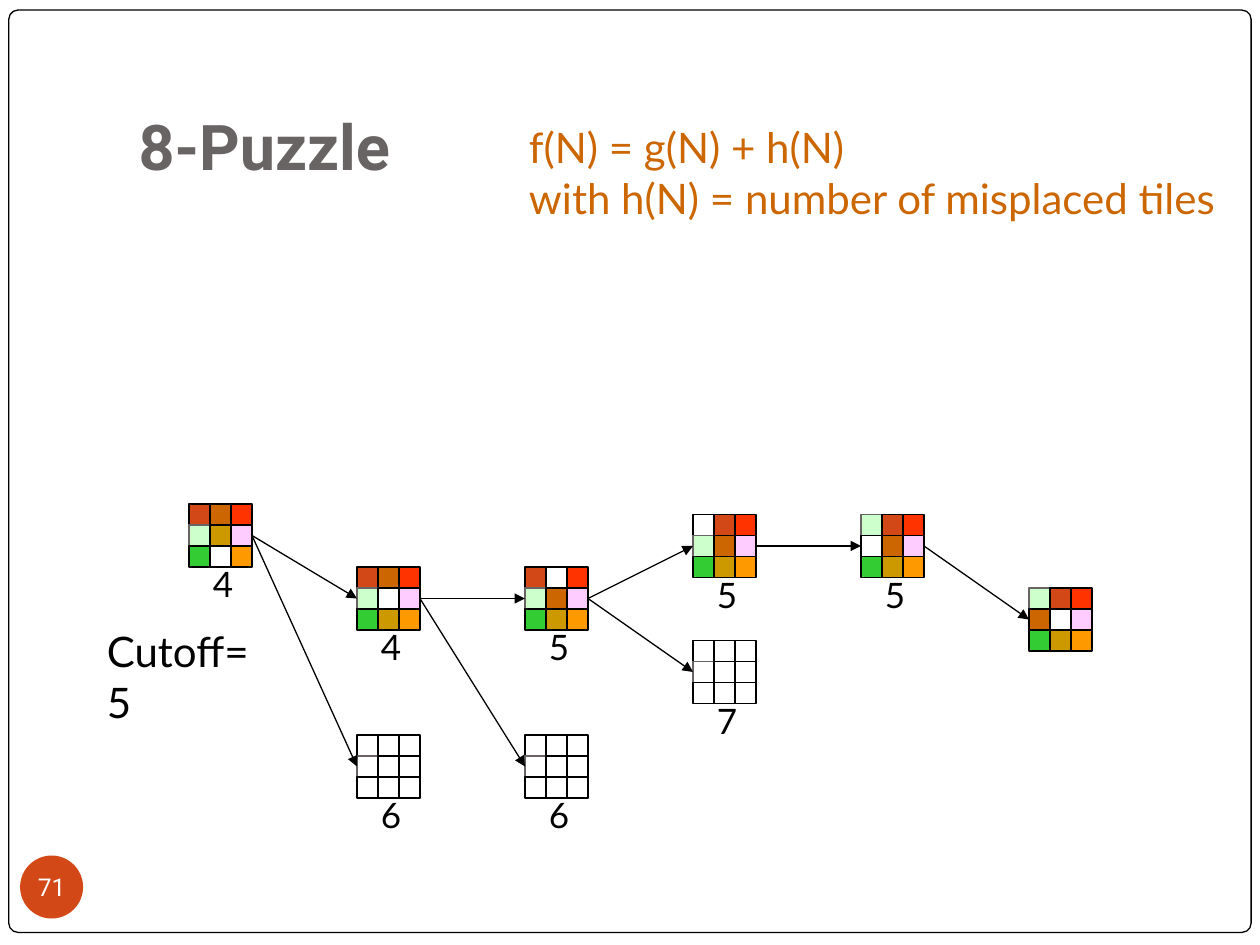
import pptx
import pptx.dml.color
import pptx.enum.shapes
import pptx.enum.text
import pptx.oxml
import pptx.oxml.ns
import pptx.util

RGBColor = pptx.dml.color.RGBColor
SHAPE = pptx.enum.shapes.MSO_SHAPE
ANCHOR = pptx.enum.text.MSO_ANCHOR
ALIGN = pptx.enum.text.PP_ALIGN

BLACK = RGBColor(0x00, 0x00, 0x00)
WHITE = RGBColor(0xFF, 0xFF, 0xFF)
GREY = RGBColor(0x69, 0x64, 0x64)
RUST = RGBColor(0xD3, 0x48, 0x17)
ORANGE = RGBColor(0xCC, 0x66, 0x00)
TILE_COLOURS = {
    "1": RGBColor(0xCC, 0xFF, 0xCC),
    "2": RUST,
    "3": RGBColor(0xFF, 0x33, 0x00),
    "4": RGBColor(0xFF, 0xCC, 0xFF),
    "5": RGBColor(0xFF, 0x99, 0x00),
    "6": RGBColor(0xCC, 0x99, 0x00),
    "7": RGBColor(0x33, 0xCC, 0x33),
    "8": ORANGE,
}
GREY_EDGED = "1-"
UNOPENED = "   -     "

WIDTH, HEIGHT = pptx.util.Inches(10), pptx.util.Inches(7.5)
CELL = WIDTH / 60
SIDE = 3
HEADING_FONT, BODY_FONT = "Roboto", "Lato"

# name: (column, row, tiles, cost, parent)
BOARDS = {
    "start": (9, 24, "2831647 5", "4", None),
    "up": (17, 27, "2831 4765", "4", "start"),
    "right": (17, 35, UNOPENED, "6", "start"),
    "left": (25, 35, UNOPENED, "6", "up"),
    "top": (25, 27, "2 3184765", "5", "up"),
    "top right": (33, 30.5, UNOPENED, "7", "top"),
    "top left": (33, 24.5, " 23184765", "5", "top"),
    "down": (41, 24.5, "123 84765", "5", "top left"),
    "goal": (49, 28, "1238 4765", None, "down"),
}


def cells(*counts):
    return [round(count * CELL) for count in counts]


def write(frame, lines, size, font, colour, bold=False, align=ALIGN.LEFT):
    for index, line in enumerate(lines):
        paragraph = frame.add_paragraph() if index else frame.paragraphs[0]
        paragraph.alignment = align
        run = paragraph.add_run()
        run.text = line
        run.font.size = pptx.util.Pt(size)
        run.font.name = font
        run.font.bold = bold
        run.font.color.rgb = colour


def add_note(shapes, box, lines, size, colour):
    frame = shapes.add_textbox(*box).text_frame
    frame.word_wrap = True
    write(frame, lines, size, BODY_FONT, colour)


def add_block(shapes, kind, box, fill, edge=None):
    block = shapes.add_shape(kind, *box)
    block.shadow.inherit = False
    block.fill.solid()
    block.fill.fore_color.rgb = fill
    if edge is None:
        block.line.fill.background()
    else:
        block.line.color.rgb = edge
        block.line.width = pptx.util.Pt(0.75)
    return block


def add_arrow(shapes, start, end):
    arrow = shapes.add_connector(
        pptx.enum.shapes.MSO_CONNECTOR.STRAIGHT, *start, *end)
    arrow.line.color.rgb = BLACK
    arrow.line.width = pptx.util.Pt(0.75)
    tip = pptx.oxml.parse_xml(
        f'<a:tailEnd {pptx.oxml.ns.nsdecls("a")} type="triangle"/>')
    arrow.line._get_or_add_ln().append(tip)
    arrow.element.spPr.append(pptx.oxml.parse_xml(
        f'<a:effectLst {pptx.oxml.ns.nsdecls("a")}/>'))


def add_title(slide, box):
    title = slide.shapes.title
    title.left, title.top, title.width, title.height = box
    frame = title.text_frame
    frame.vertical_anchor = ANCHOR.BOTTOM
    frame.margin_bottom = pptx.util.Inches(0.1)
    write(frame, ["8-Puzzle"], 36, HEADING_FONT, GREY, bold=True)


def add_border(slide, box):
    border = add_block(slide.shapes, SHAPE.ROUNDED_RECTANGLE, box, WHITE, BLACK)
    border.adjustments[0] = 0.01
    slide.shapes.title.element.addprevious(border.element)


def add_page_number(slide, box):
    badge = add_block(slide.shapes, SHAPE.OVAL, box, RUST)
    frame = badge.text_frame
    frame.margin_left = frame.margin_right = 0
    frame.margin_top = frame.margin_bottom = 0
    frame.vertical_anchor = ANCHOR.MIDDLE
    write(frame, ["71"], 14, HEADING_FONT, WHITE, align=ALIGN.CENTER)


def add_board(shapes, column, row, tiles, cost):
    if cost:
        add_note(shapes, cells(column + 0.55, row + 2.5, 2.1, 2.6),
                 [cost], 20, BLACK)
    for index, tile in enumerate(tiles):
        down, across = divmod(index, SIDE)
        add_block(shapes, SHAPE.RECTANGLE,
                  cells(column + across, row + down, 1, 1),
                  TILE_COLOURS.get(tile, WHITE),
                  GREY if tile in GREY_EDGED else BLACK)


def add_search_tree(slide):
    for column, row, tiles, cost, parent in BOARDS.values():
        shapes = slide.shapes.add_group_shape().shapes
        add_board(shapes, column, row, tiles, cost)
        if parent:
            parent_column, parent_row = BOARDS[parent][:2]
            add_arrow(shapes,
                      cells(parent_column + SIDE, parent_row + SIDE / 2),
                      cells(column, row + SIDE / 2))


def main():
    deck = pptx.Presentation()
    deck.slide_width, deck.slide_height = WIDTH, HEIGHT
    slide = deck.slides.add_slide(deck.slide_layouts[5])
    add_title(slide, cells(6, 1.8, 51, 7.5))
    add_border(slide, cells(0.42, 0.48, 59.16, 43.92))
    add_page_number(slide, cells(0.96, 40.74, 3, 3))
    add_search_tree(slide)
    add_note(slide.shapes, cells(4.5, 29.5, 8.6, 5.4), ["Cutoff=5"], 24, BLACK)
    add_note(slide.shapes, cells(24.6, 5.5, 34.9, 5.4),
             ["f(N) = g(N) + h(N)", "with h(N) = number of misplaced tiles"],
             24, ORANGE)
    deck.save("out.pptx")


if __name__ == "__main__":
    main()
